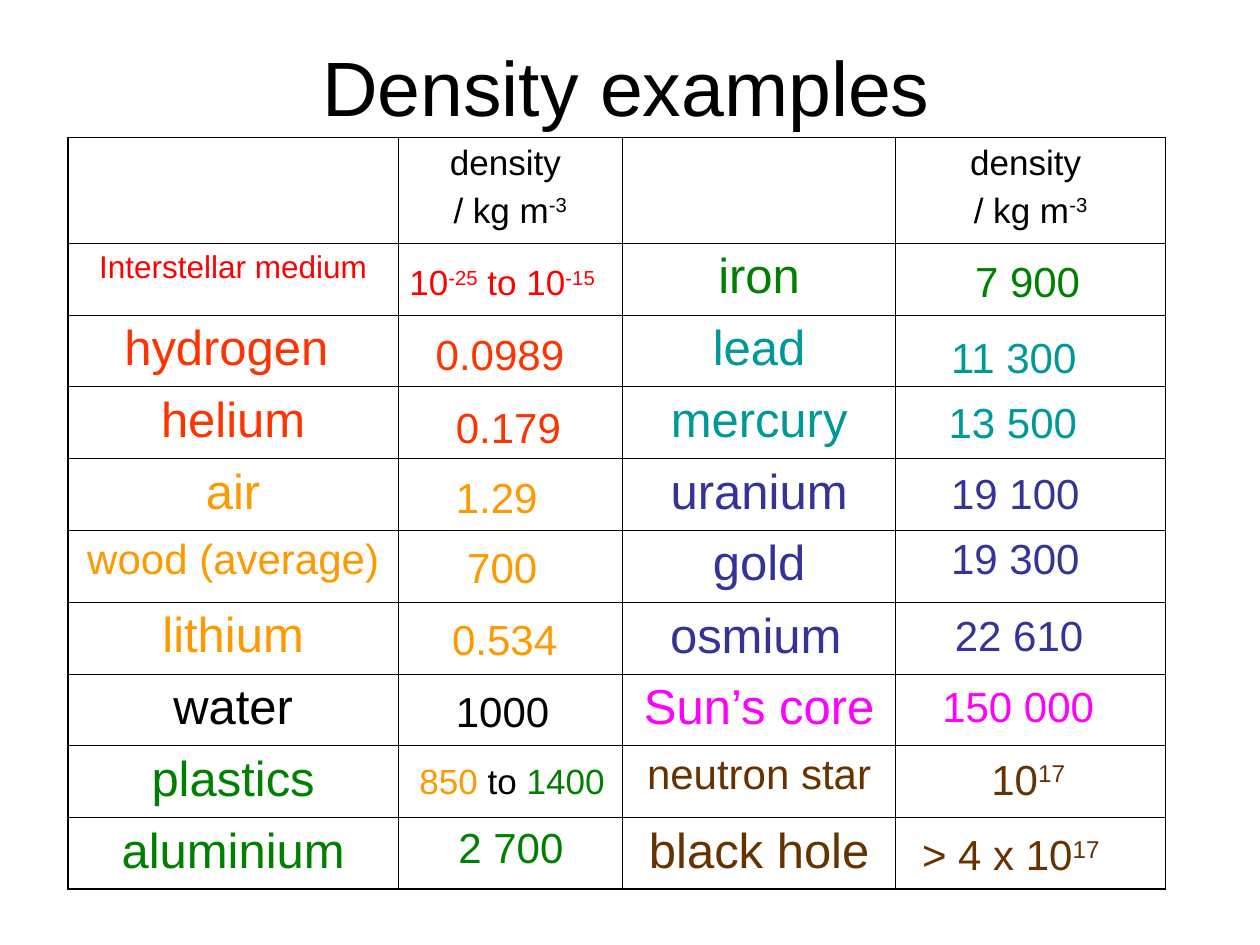
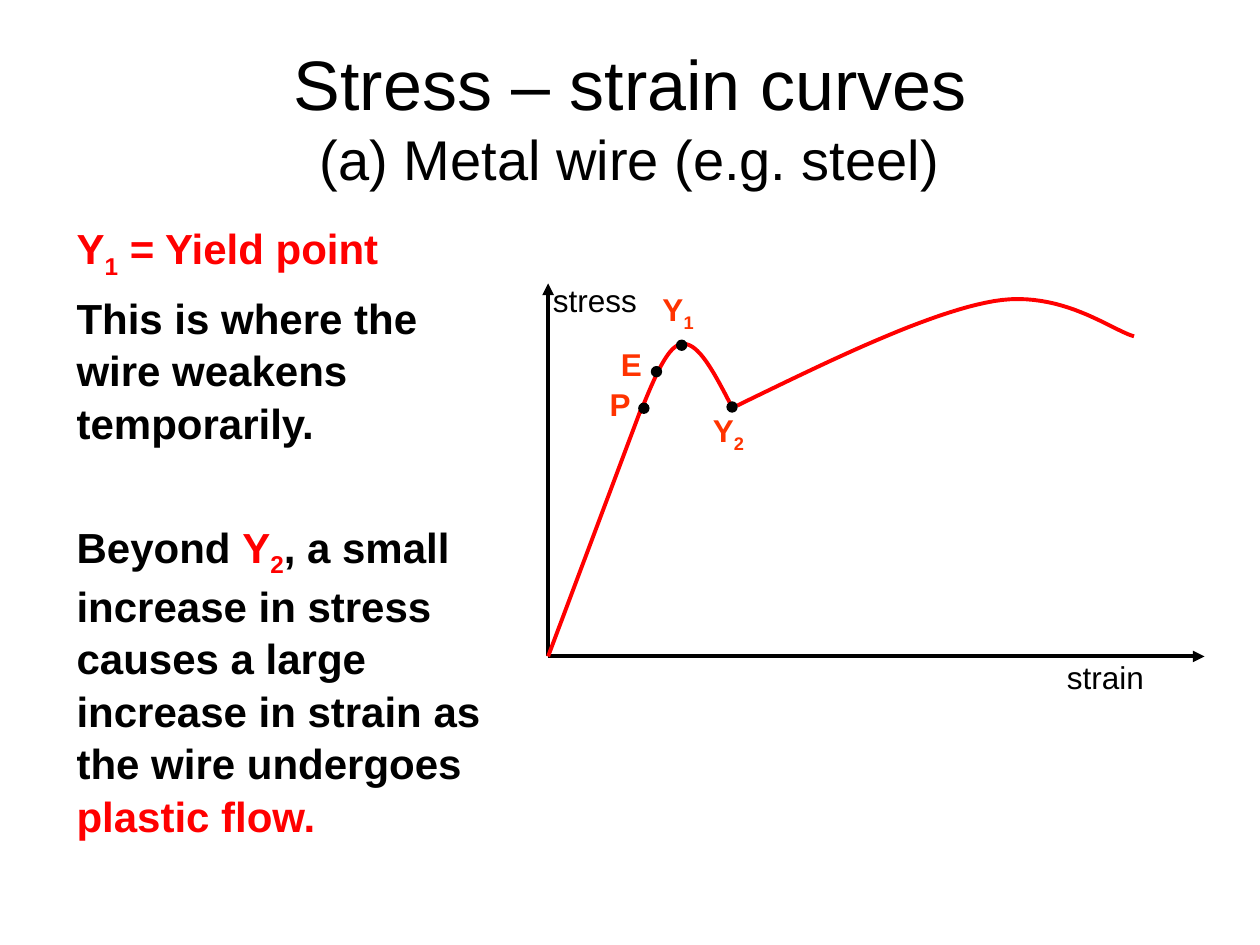
from lxml.etree import SubElement
from pptx import Presentation
from pptx.dml.color import RGBColor
from pptx.enum.shapes import MSO_CONNECTOR as CONN, MSO_SHAPE as SHAPE
from pptx.enum.text import MSO_ANCHOR as ANCHOR, MSO_AUTO_SIZE as FIT, PP_ALIGN as ALIGN
from pptx.oxml.ns import qn
from pptx.util import Inches, Pt

FONT = "Arial"
BLACK, RED, ORANGE_RED, ORANGE = "000000", "FF0000", "FF3300", "FF9900"
GREEN, TEAL, INDIGO, MAGENTA, BROWN = "008000", "009999", "333399", "FF00FF", "663300"
COLS, ROWS = 100, 75
THIN, THICK = 0.45, 1.08


def rgb(code):
    return RGBColor.from_string(code)


class Deck:
    """Style and current slide; lengths are columns and rows of a 100 x 75 grid."""

    def __init__(self):
        self.prs = Presentation()
        self.prs.slide_width, self.prs.slide_height = Inches(10), Inches(7.5)
        self.s = None

    def x(self, cols):
        return round(self.prs.slide_width * cols / COLS)

    def y(self, rows):
        return round(self.prs.slide_height * rows / ROWS)

    def box(self, x, y, w, h):
        return self.x(x), self.y(y), self.x(w), self.y(h)

    def font(self, r, size, color, bold=False):
        r.font.name, r.font.size, r.font.bold = FONT, Pt(size), bold
        r.font.color.rgb = rgb(color)

    def rich(self, p, parts, size, bold=False):
        """Add (text, colour) parts; ^..^ is raised and _.._ is lowered."""
        for text, color in parts:
            mark, shift = ("_", -25000) if "_" in text else ("^", 30000)
            for i, piece in enumerate(text.split(mark)):
                if piece:
                    r = p.add_run()
                    r.text = piece
                    self.font(r, size, color, bold)
                    if i % 2:
                        r._r.get_or_add_rPr().set("baseline", str(shift))

    def slide(self, title, place, *sizes):
        self.s = self.prs.slides.add_slide(self.prs.slide_layouts[5])
        sp = self.s.shapes.title
        sp.left, sp.top, sp.width, sp.height = self.box(*place)
        tf = sp.text_frame
        tf.text = title
        tf.auto_size, tf.vertical_anchor = FIT.NONE, ANCHOR.MIDDLE
        p = tf.paragraphs[0]
        p.alignment = ALIGN.CENTER
        for r, size in zip(p.runs, sizes):
            self.font(r, size, BLACK)
        for br in p._p.findall(qn("a:br")):
            SubElement(br, qn("a:rPr"), sz=str(sizes[0] * 100))

    def text(self, place, paragraphs, size, bold=False, before=(0,), spacing=None):
        tf = self.s.shapes.add_textbox(*self.box(*place)).text_frame
        tf.word_wrap = True
        for i, parts in enumerate(paragraphs):
            p = tf.paragraphs[0] if i == 0 else tf.add_paragraph()
            p.space_before, p.line_spacing = Pt(before[i]), spacing
            self.rich(p, parts, size, bold)

    def table(self, place, widths, heights, cells):
        """Each cell is (lines, colour, size), or None when empty."""
        t = self.s.shapes.add_table(len(heights), len(widths), *self.box(*place)).table
        t.first_row = t.horz_banding = False
        for col, w in zip(t.columns, widths):
            col.width = self.x(w)
        for row, h in zip(t.rows, heights):
            row.height = self.y(h)
        for i, row in enumerate(cells):
            for j, content in enumerate(row):
                cell = t.cell(i, j)
                edges = {"L": j == 0, "R": j == len(widths) - 1,
                         "T": i == 0, "B": i == len(heights) - 1}
                self.borders(cell, edges)
                cell.fill.background()
                if content:
                    lines, color, size = content
                    for k, line in enumerate(lines):
                        tf = cell.text_frame
                        p = tf.paragraphs[0] if k == 0 else tf.add_paragraph()
                        p.alignment, p.space_before = ALIGN.CENTER, Pt(size / 4)
                        self.rich(p, [(line, color)], size)

    def borders(self, cell, edges):
        tc_pr = cell._tc.get_or_add_tcPr()
        for side, outer in edges.items():
            ln = SubElement(tc_pr, qn(f"a:ln{side}"), w=str(Pt(THICK if outer else THIN)))
            SubElement(SubElement(ln, qn("a:solidFill")), qn("a:srgbClr"), val=BLACK)

    def stroke(self, sp, color, width):
        sp.line.color.rgb, sp.line.width = rgb(color), Pt(width)

    def line(self, start, end, color, arrow=False):
        c = self.s.shapes.add_connector(CONN.STRAIGHT, self.x(start[0]), self.y(start[1]),
                                        self.x(end[0]), self.y(end[1]))
        self.stroke(c, color, 2.25)
        if arrow:
            SubElement(c.line._get_or_add_ln(), qn("a:tailEnd"), type="triangle")
        SubElement(c._element.spPr, qn("a:effectLst"))

    def curve(self, start, *segments, color=RED, steps=24):
        """Draw joined cubic Bezier segments, each (control, control, end)."""
        points, a = [], start
        for b, c, d in segments:
            for t in (n / steps for n in range(1, steps + 1)):
                u = 1 - t
                px, py = (u**3 * a[k] + 3 * u * u * t * b[k] + 3 * u * t * t * c[k]
                          + t**3 * d[k] for k in (0, 1))
                points.append((self.x(px), self.y(py)))
            a = d
        fb = self.s.shapes.build_freeform(self.x(start[0]), self.y(start[1]))
        fb.add_line_segments(points, close=False)
        sp = fb.convert_to_shape()
        sp.shadow.inherit = False
        sp.fill.background()
        self.stroke(sp, color, 2.25)

    def dot(self, x, y, size=0.8):
        sp = self.s.shapes.add_shape(SHAPE.OVAL, *self.box(x, y, size, size))
        sp.shadow.inherit = False
        sp.fill.solid()
        sp.fill.fore_color.rgb = rgb(BLACK)
        self.stroke(sp, BLACK, 0.75)


def density_slide(d):
    d.slide("Density examples", (4.7, 2.4, 90, 8.8), 44)

    # Table of substances
    left = [("Interstellar medium", RED, 18), ("hydrogen ", ORANGE_RED, 28),
            ("helium", ORANGE_RED, 28), ("air", ORANGE, 28), ("wood (average)", ORANGE, 24),
            ("lithium", ORANGE, 28), ("water", BLACK, 28), ("plastics", GREEN, 28),
            ("aluminium", GREEN, 28)]
    right = [("iron", GREEN, 28), ("lead", TEAL, 28), ("mercury", TEAL, 28),
             ("uranium", INDIGO, 28), ("gold", INDIGO, 28), None,
             ("Sun’s core", MAGENTA, 28), ("neutron star", BROWN, 24),
             ("black hole", BROWN, 28)]
    head = (["density ", "/ kg m^-3^"], BLACK, 20)
    cells = [[None, head, None, head]]
    for pair in zip(left, right):
        a, b = (c and ([c[0]], *c[1:]) for c in pair)
        cells.append([a, None, b, None])
    d.table((5.4, 10.9, 87.1, 59.3), [26.2, 17.8, 21.7, 21.4], [8.4] + [5.7] * 9, cells)

    # Values laid over the table: x, y, width, size, parts
    values = [
        (31.5, 20.2, 18.8, 20, [("10^-25^ to 10^-15^", RED)]),
        (33.6, 25.6, 14.8, 24, [("0.0989", ORANGE_RED)]),
        (35.2, 31.4, 11.4, 24, [("0.179", ORANGE_RED)]),
        (35.2, 36.9, 11.4, 24, [("1.29", ORANGE)]),
        (36.1, 42.5, 10.4, 24, [("700", ORANGE)]),
        (34.9, 48.2, 11.4, 24, [("0.534", ORANGE)]),
        (35.2, 53.9, 11.4, 24, [("1000", BLACK)]),
        (32.3, 59.8, 17.1, 20, [("850 ", ORANGE), ("to ", BLACK), ("1400", GREEN)]),
        (35.4, 64.7, 11.4, 24, [("2 700", GREEN)]),
        (76.4, 19.8, 11.4, 24, [("7 900", GREEN)]),
        (74.5, 25.8, 15.2, 24, [("11 300", TEAL)]),
        (74.3, 31, 15.2, 24, [("13 500", TEAL)]),
        (74.5, 36.6, 14.5, 24, [("19 100", INDIGO)]),
        (74.5, 41.8, 15.2, 24, [("19 300", INDIGO)]),
        (52.2, 47.5, 23.3, 28, [("osmium", INDIGO)]),
        (74.8, 47.9, 17.4, 24, [("22 610", INDIGO)]),
        (73.8, 53.5, 16.8, 24, [("150 000", MAGENTA)]),
        (77.7, 59.3, 9, 24, [("10^17^", BROWN)]),
        (72.2, 65.3, 20, 24, [("> 4 x 10^17^", BROWN)]),
    ]
    for x, y, w, size, parts in values:
        d.text((x, y, w, size / 6 + 1), [parts], size, before=[size * 0.625])


def stress_slide(d):
    d.slide("Stress – strain curves\v(a) Metal wire (e.g. steel)", (5, 3, 90, 12.5), 40, 32)

    # Explanation
    d.text((5.1, 17, 36.3, 49.9), [
        [("Y_1_ = Yield point", RED)],
        [("This is where the wire weakens temporarily.", BLACK)],
        [("Beyond ", BLACK), ("Y_2_", RED),
         (", a small increase in stress causes a large increase in strain"
          " as the wire undergoes ", BLACK), ("plastic flow.", RED)],
    ], 24, bold=True, before=(6, 6, 40.7), spacing=1.04)

    # Axes and curve
    origin = (43.5, 52.1)
    d.line(origin, (43.5, 22.5), BLACK, arrow=True)
    d.line(origin, (95.6, 52.1), BLACK, arrow=True)
    d.line(origin, (50.9, 32.4), RED)
    d.curve((50.8, 32.8), ((51.9, 30.1), (53, 27.3), (54.2, 27.3)),
            ((55.5, 27.2), (56.8, 29.8), (58.2, 32.5)))
    d.curve((58.5, 32.2), ((66.1, 28.5), (73.7, 24.8), (78.9, 23.9)),
            ((84.2, 23), (88.2, 26.2), (90, 26.7)))
    for x, y in [(50.7, 32), (53.7, 27), (51.7, 29.1), (57.7, 31.9)]:
        d.dot(x, y)

    # Labels
    for x, y, w, h, label in [(51.6, 22.5, 5.6, 4.5, "Y_1_"), (47.4, 30.1, 4.9, 4.5, "P"),
                              (48.3, 26.9, 4.4, 4.7, "E"), (55.6, 32.1, 5.6, 4.5, "Y_2_")]:
        d.text((x, y, w, h), [[(label, ORANGE_RED)]], 18, bold=True)
    for x, y, label in [(42.9, 21.8, "stress"), (83.7, 51.7, "strain")]:
        d.text((x, y, 9.4, 4.7), [[(label, BLACK)]], 18)


def main():
    d = Deck()
    density_slide(d)
    stress_slide(d)
    d.prs.save("out.pptx")


if __name__ == "__main__":
    main()
